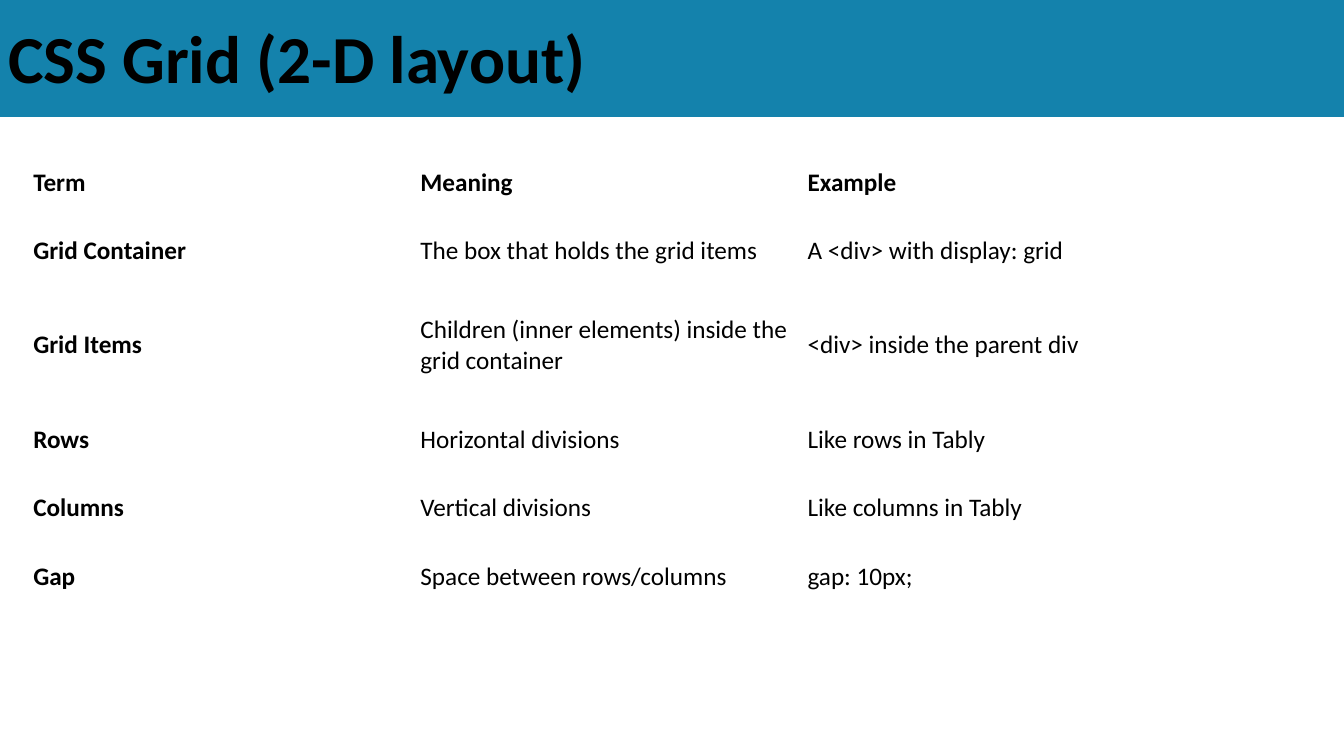
"""Build a slide that explains the terms of CSS Grid in a table."""
from pptx import Presentation
from pptx.dml.color import RGBColor
from pptx.enum.shapes import MSO_SHAPE
from pptx.enum.text import MSO_ANCHOR, PP_ALIGN
from pptx.util import Inches, Pt

TITLE = "CSS Grid (2-D layout)"
TERMS = [
    ("Term", "Meaning", "Example"),
    ("Grid Container", "The box that holds the grid items", "A <div> with display: grid"),
    ("Grid Items", "Children (inner elements) inside the grid container",
     "<div> inside the parent div"),
    ("Rows", "Horizontal divisions", "Like rows in Tably"),
    ("Columns", "Vertical divisions", "Like columns in Tably"),
    ("Gap", "Space between rows/columns", "gap: 10px;"),
]
COLORS = {"banner": "1482AC", "text": "000000"}
FONT = "Calibri"
SLIDE_W, SLIDE_H = 13.33, 7.5
BANNER_TOP, BANNER_H = -0.03, 1.19
TABLE_LEFT, TABLE_TOP = 0.23, 1.47
COL_W, ROW_H, TALL_ROW_H = 3.84, 0.68, 1.19
TALL_ROW = 2


def style(p, size, bold):
    p.alignment = PP_ALIGN.LEFT
    p.font.name = FONT
    p.font.size = Pt(size)
    p.font.bold = bold
    p.font.color.rgb = RGBColor.from_string(COLORS["text"])


def add_banner(s):
    sp = s.shapes.add_shape(MSO_SHAPE.RECTANGLE, 0, Inches(BANNER_TOP),
                            Inches(SLIDE_W), Inches(BANNER_H))
    sp.shadow.inherit = False
    sp.fill.solid()
    sp.fill.fore_color.rgb = RGBColor.from_string(COLORS["banner"])
    sp.line.fill.background()
    tf = sp.text_frame
    tf.word_wrap = True
    tf.vertical_anchor = MSO_ANCHOR.MIDDLE
    tf.margin_left = tf.margin_right = Inches(0.08)
    tf.margin_top = tf.margin_bottom = Inches(0.04)
    tf.text = TITLE
    style(tf.paragraphs[0], 48, True)


def add_terms(s):
    heights = [TALL_ROW_H if i == TALL_ROW else ROW_H for i in range(len(TERMS))]
    cols = len(TERMS[0])
    table = s.shapes.add_table(len(TERMS), cols, Inches(TABLE_LEFT), Inches(TABLE_TOP),
                               Inches(COL_W * cols), Inches(sum(heights))).table
    table.first_row = table.horz_banding = False
    for col in table.columns:
        col.width = Inches(COL_W)
    for i, (row, height) in enumerate(zip(TERMS, heights)):
        table.rows[i].height = Inches(height)
        for j, text in enumerate(row):
            cell = table.cell(i, j)
            cell.fill.background()
            cell.vertical_anchor = MSO_ANCHOR.MIDDLE
            cell.text = text
            style(cell.text_frame.paragraphs[0], 18, i == 0 or j == 0)


def main():
    prs = Presentation()
    prs.slide_width, prs.slide_height = Inches(SLIDE_W), Inches(SLIDE_H)
    s = prs.slides.add_slide(prs.slide_layouts[6])
    add_banner(s)
    add_terms(s)
    prs.save("out.pptx")


if __name__ == "__main__":
    main()
